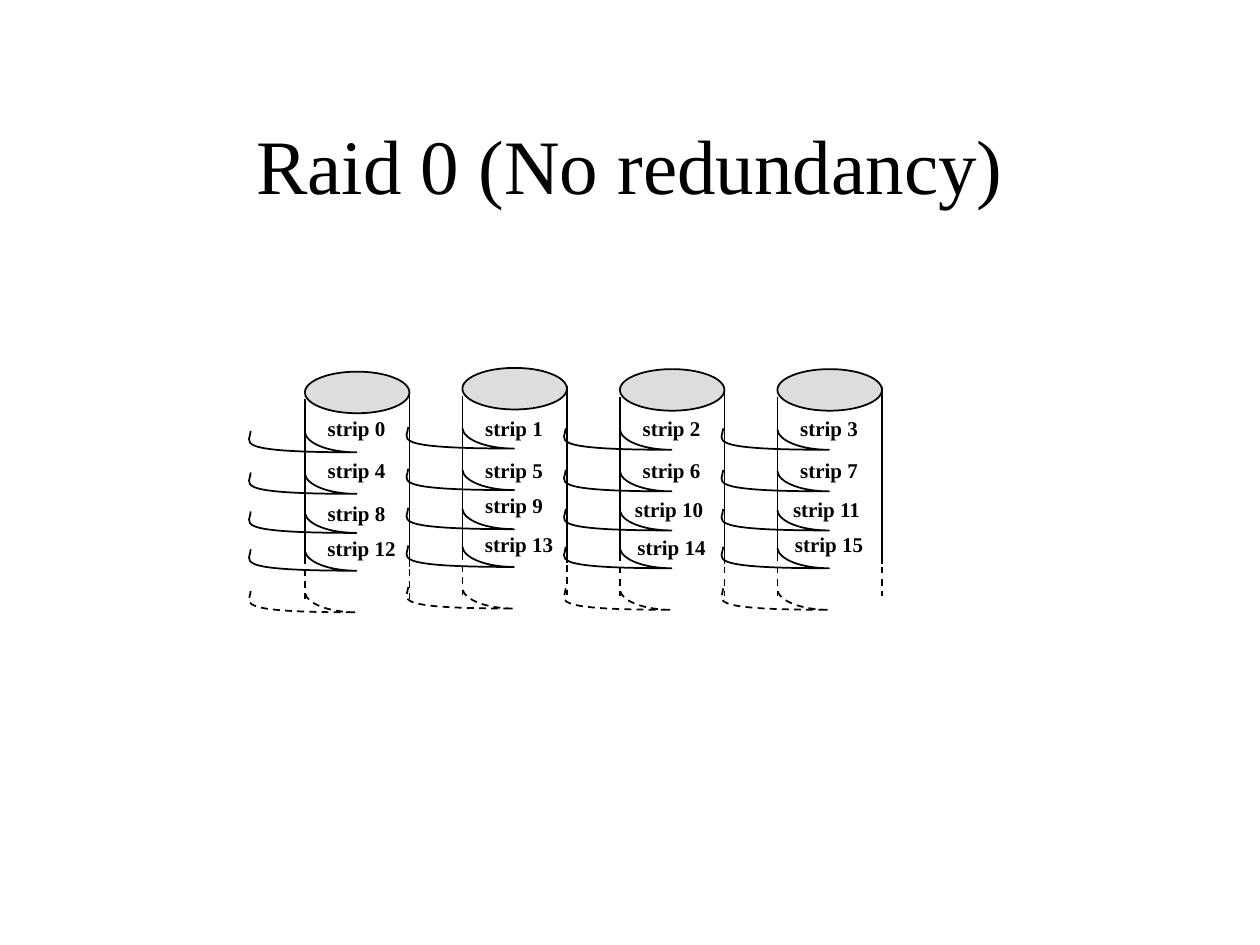
from dataclasses import dataclass

from lxml import etree
from pptx import Presentation
from pptx.dml.color import RGBColor
from pptx.enum import dml, shapes, text
from pptx.oxml import ns
from pptx.util import Inches, Pt


@dataclass(frozen=True)
class Theme:
    font: str = "Times New Roman"
    ink: RGBColor = RGBColor(0, 0, 0)
    lid: RGBColor = RGBColor(0xDD, 0xDD, 0xDD)
    title_size: int = 44
    label_size: int = 12
    stroke: int = 1


THEME = Theme()

DISK_LEFT, DISK_STEP, DISK_WIDTH = 2.42, 1.25, 0.83
DISK_TOPS = (2.95, 2.92, 2.93, 2.93)
LID_HEIGHT, BAND_HEIGHT = 0.33, 0.17
BAND_OFFSETS = (0.47, 0.8, 1.11, 1.41)
DASHED_BAND_OFFSET = 1.74
# x offset, then start and end below the top of the disk, then dashed
WALLS = (
    (0, 0.22, 1.47, False),
    (DISK_WIDTH, 0.14, 1.55, False),
    (0, 1.47, 1.8, True),
    (DISK_WIDTH, 1.47, 1.8, True),
)
BAND_START = (-0.43, 0)
BAND_CURVES = (
    ((-0.43, 0.09), (-0.62, 0.17), (0.41, 0.17)),
    ((0.19, 0.17), (0.01, 0.1), (0, 0.01)),
)
LABEL_SIZES = ((0.66, 0.3), (0.74, 0.3))
# One row of strips per line, one (left in disk, top on page) per disk
LABEL_PLACES = (
    ((0.08, 3.25), (0.08, 3.25), (0.08, 3.25), (0.08, 3.25)),
    ((0.08, 3.58), (0.08, 3.58), (0.08, 3.58), (0.08, 3.58)),
    ((0.08, 3.92), (0.08, 3.86), (0.02, 3.89), (0.02, 3.89)),
    ((0.08, 4.2), (0.08, 4.17), (0.04, 4.19), (0.04, 4.17)),
)


def add_text(parent, area, words, wrap=False, **font_format):
    box = parent.add_textbox(*(Inches(value) for value in area))
    frame = box.text_frame
    frame.word_wrap = wrap
    frame.vertical_anchor = text.MSO_ANCHOR.MIDDLE
    para = frame.paragraphs[0]
    para.alignment = text.PP_ALIGN.CENTER
    span = para.add_run()
    span.text = words
    for name, value in {"name": THEME.font, **font_format}.items():
        setattr(span.font, name, value)
    span.font.color.rgb = THEME.ink


def style_line(line, dashed=False):
    line.color.rgb = THEME.ink
    line.width = Pt(THEME.stroke)
    if dashed:
        line.dash_style = dml.MSO_LINE.DASH


def add_wall(parent, x, top, bottom, dashed):
    wall = parent.add_connector(
        shapes.MSO_CONNECTOR.STRAIGHT, *(Inches(value) for value in (x, top, x, bottom))
    )
    style_line(wall.line, dashed)
    etree.SubElement(wall._element.spPr, ns.qn("a:effectLst"))


def add_band(parent, left, top, dashed=False):
    """Draw the curved lower edge of a strip; it reaches out left of its box."""
    width, height = Inches(DISK_WIDTH), Inches(BAND_HEIGHT)
    builder = parent.build_freeform(0, 0)
    builder.add_line_segments(((width, 0), (width, height)))
    band = builder.convert_to_shape(Inches(left), Inches(top))
    band.shadow.inherit = False
    band.fill.background()
    style_line(band.line, dashed)

    outline = band._element.spPr.find(".//" + ns.qn("a:path"))
    for step in list(outline):
        outline.remove(step)
    steps = [("a:moveTo", (BAND_START,))]
    steps += [("a:cubicBezTo", curve) for curve in BAND_CURVES]
    for tag, points in steps:
        step = etree.SubElement(outline, ns.qn(tag))
        for x, y in points:
            etree.SubElement(step, ns.qn("a:pt"), x=str(Inches(x)), y=str(Inches(y)))


def add_disk(parent, left, top):
    lid = parent.add_shape(
        shapes.MSO_SHAPE.OVAL,
        *(Inches(value) for value in (left, top, DISK_WIDTH, LID_HEIGHT)),
    )
    lid.shadow.inherit = False
    lid.fill.solid()
    lid.fill.fore_color.rgb = THEME.lid
    style_line(lid.line)
    for x, start, end, dashed in WALLS:
        add_wall(parent, left + x, top + start, top + end, dashed)
    for offset in BAND_OFFSETS:
        add_band(parent, left, top + offset)
    add_band(parent, left, top + DASHED_BAND_OFFSET, dashed=True)


def add_labels(parent, left, column):
    for row, places in enumerate(LABEL_PLACES):
        number = row * len(DISK_TOPS) + column
        indent, top = places[column]
        add_text(
            parent, (left + indent, top, *LABEL_SIZES[number >= 10]),
            f"strip {number}", size=Pt(THEME.label_size), bold=True,
        )


def add_array(page):
    for column, top in enumerate(DISK_TOPS):
        left = DISK_LEFT + column * DISK_STEP
        group = page.shapes.add_group_shape().shapes
        add_disk(group, left, top)
        add_labels(group, left, column)


def main():
    deck = Presentation()
    deck.slide_width, deck.slide_height = Inches(10), Inches(7.5)
    page = deck.slides.add_slide(deck.slide_layouts[6])
    add_text(
        page.shapes, (0.75, 0.67, 8.5, 1.25), "Raid 0 (No redundancy)",
        wrap=True, size=Pt(THEME.title_size),
    )
    add_array(page)
    deck.save("out.pptx")


if __name__ == "__main__":
    main()
